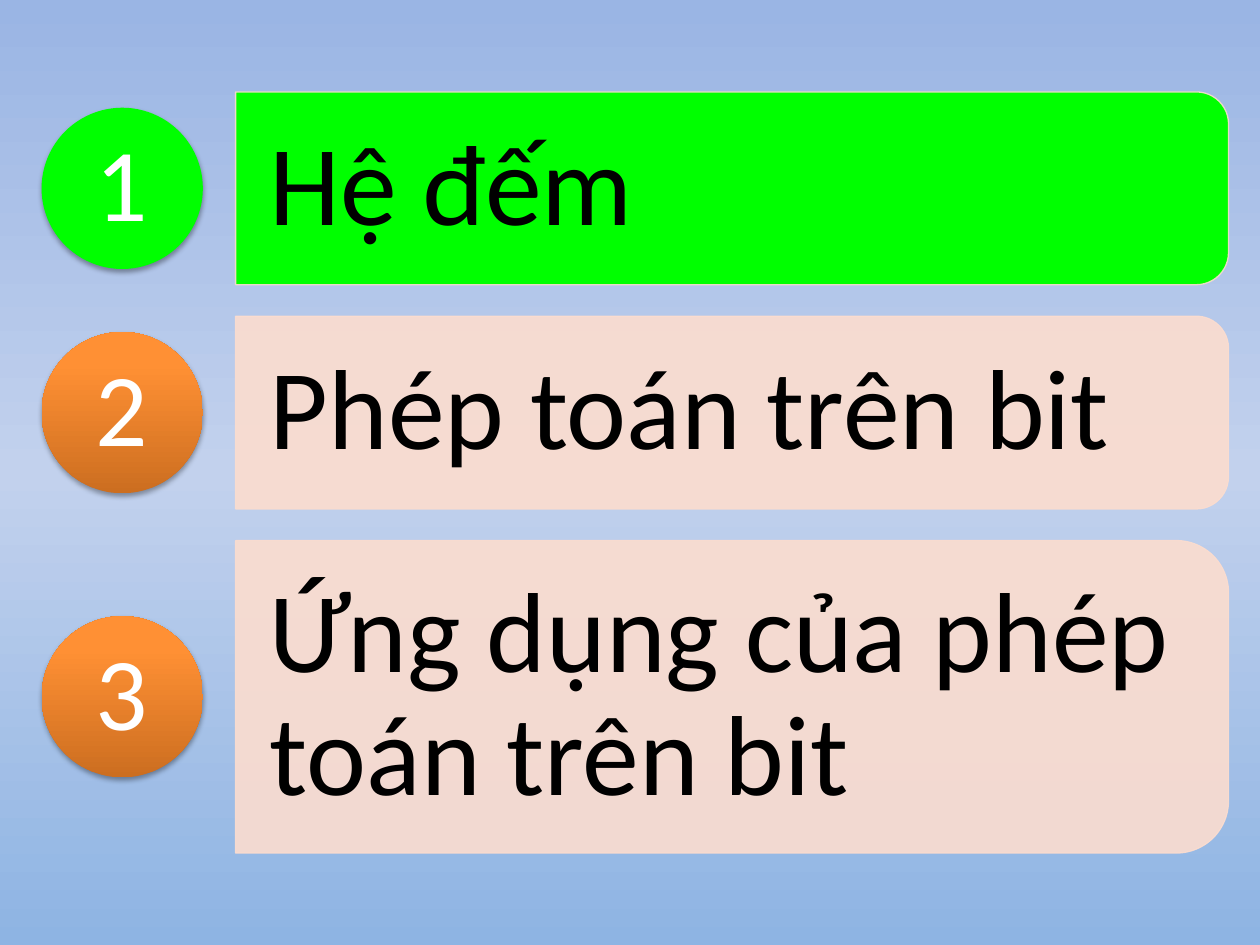
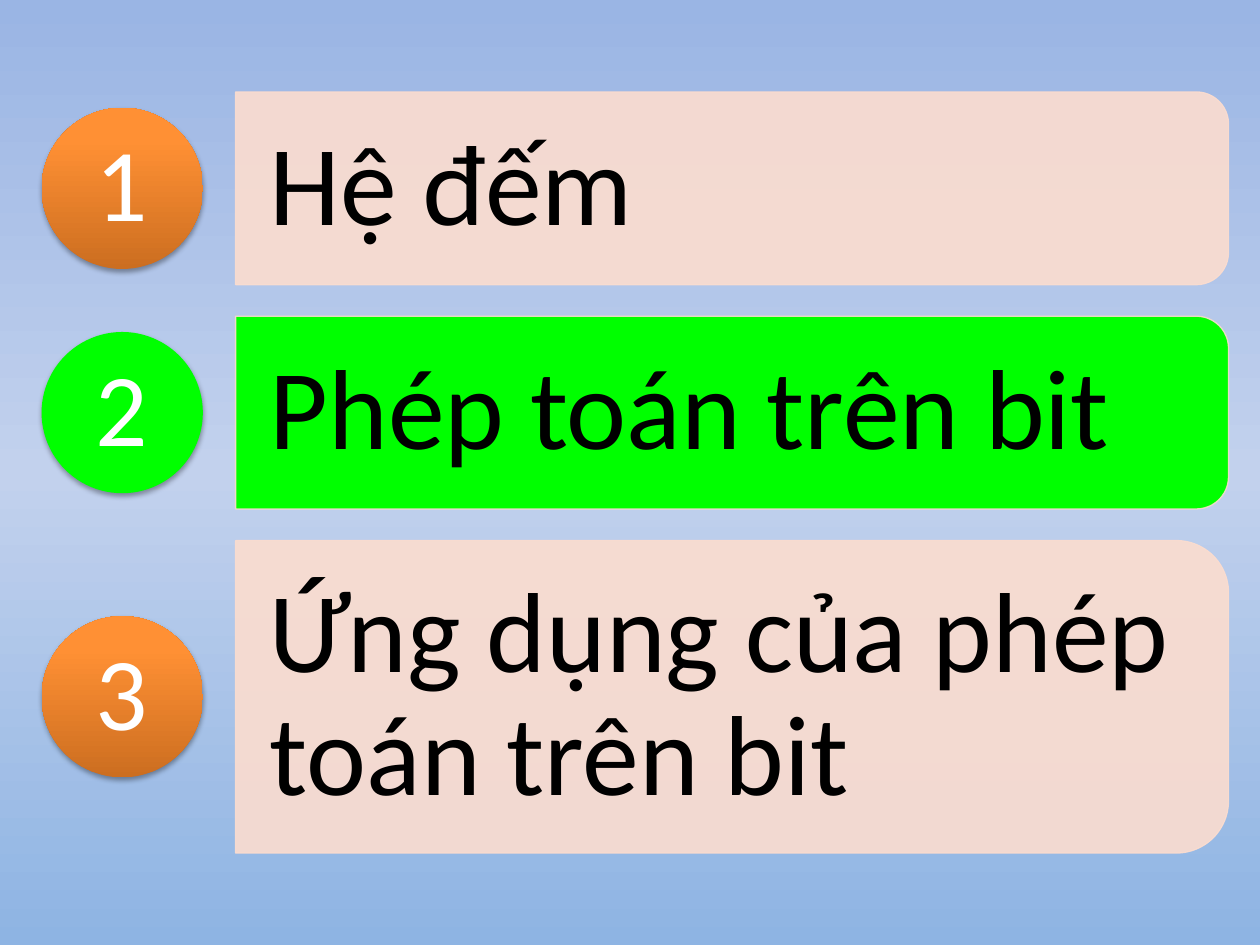
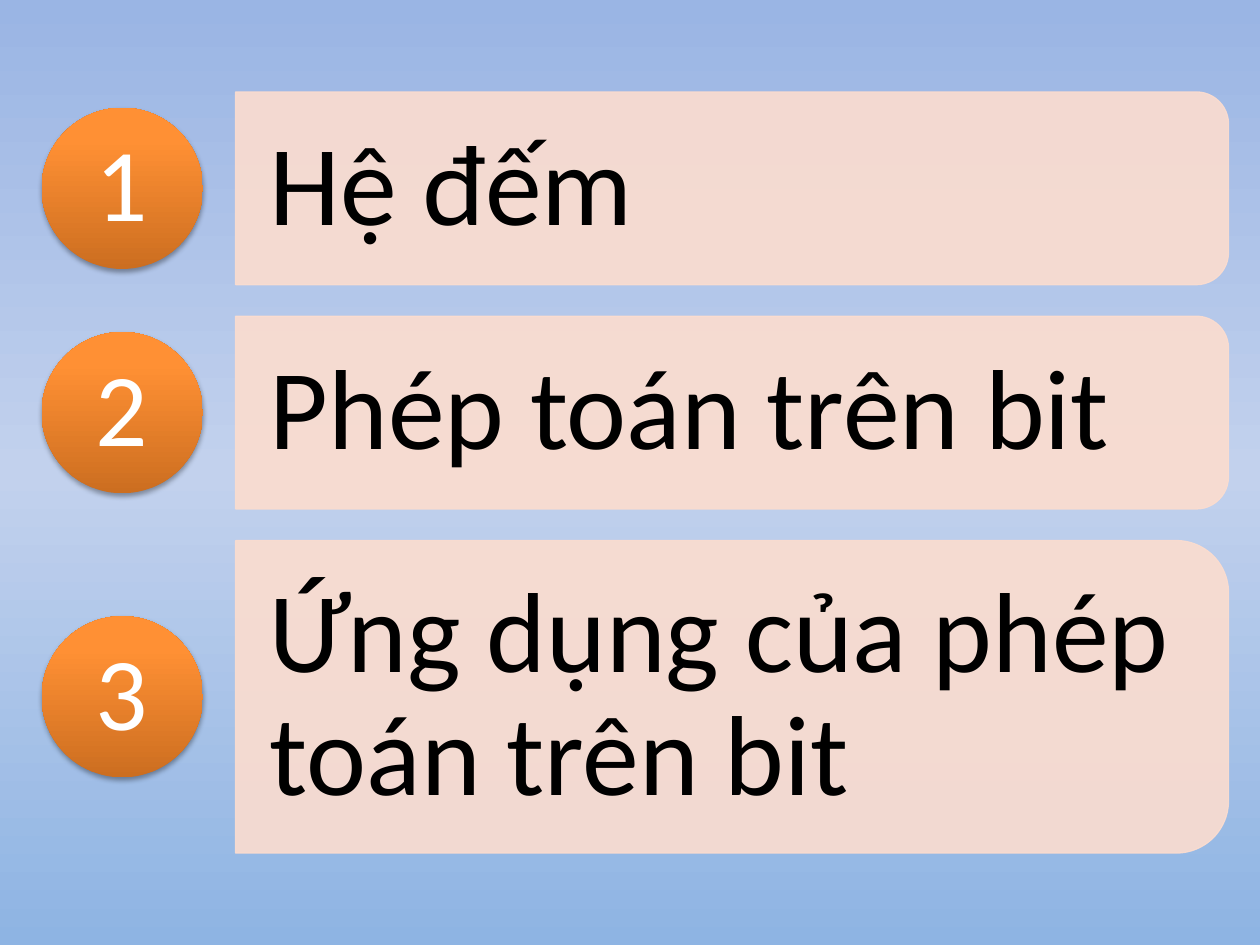
from lxml.etree import SubElement
from pptx import Presentation
from pptx.dml.color import RGBColor
from pptx.enum.shapes import MSO_SHAPE
from pptx.enum.text import MSO_ANCHOR, PP_ALIGN
from pptx.oxml.ns import qn
from pptx.util import Inches, Pt

COLORS = {
    "active": "00FF00", "bar": "FCDDCF", "text": "000000", "number": "FFFFFF",
    "shadow": "000000",
}
BACKGROUND = [(0, "9AB5E4"), (50, "C2D1ED"), (100, "8EB4E3")]
ORANGE = [(0, "CC6E20"), (80, "FF9034"), (100, "FF9136")]
FONT = "Calibri"

# Agenda items with the height of each bar
ITEMS = [
    ("Hệ đếm", 1.53),
    ("Phép toán trên bit", 1.53),
    ("Ứng dụng của phép toán trên bit", 2.48),
]
TOP, GAP = 0.73, 0.25
BAR_LEFT, BAR_WIDTH = 1.87, 7.88
CIRCLE_LEFT, CIRCLE_SIZE = 0.33, 1.28
CORNER_INSET = 0.05  # text inset caused by the round corners, per bar height


def rgb(name):
    return RGBColor.from_string(COLORS[name])


def set_gradient(fill, element, stops, angle):
    """Fill with a linear gradient; the angle runs counter-clockwise."""
    fill.gradient()
    fill.gradient_angle = angle
    gs_list = next(element.iter(qn("a:gsLst")))
    for gs in list(gs_list):
        gs_list.remove(gs)
    for pos, color in stops:
        gs = SubElement(gs_list, qn("a:gs"), pos=str(pos * 1000))
        SubElement(gs, qn("a:srgbClr"), val=color)


def set_alpha(color_parent, percent):
    color = next(color_parent.iter(qn("a:srgbClr")))
    SubElement(color, qn("a:alpha"), val=str(percent * 1000))


def add_shadow(shape):
    shape.shadow.inherit = False
    effects = shape._element.spPr.find(qn("a:effectLst"))
    shadow = SubElement(effects, qn("a:outerShdw"), blurRad=str(Pt(3.1)),
                        dist=str(Pt(1.8)), dir="5400000", rotWithShape="0")
    SubElement(shadow, qn("a:srgbClr"), val=COLORS["shadow"])
    set_alpha(shadow, 35)


def set_text(shape, text, size, color, align, inset_x=0, inset_y=0):
    tf = shape.text_frame
    tf.text = text
    tf.word_wrap = True
    tf.vertical_anchor = MSO_ANCHOR.MIDDLE
    tf.margin_left = tf.margin_right = Inches(inset_x)
    tf.margin_top = tf.margin_bottom = Inches(inset_y)
    p = tf.paragraphs[0]
    p.alignment = align
    p.line_spacing = 0.9
    font = p.runs[0].font
    font.name, font.size = FONT, Pt(size)
    font.color.rgb = rgb(color)


def add_bar(s, text, top, height, active):
    # The bar stands upright and is turned so that its round corners face right
    left = BAR_LEFT + (BAR_WIDTH - height) / 2
    upright_top = top + (height - BAR_WIDTH) / 2
    bar = s.shapes.add_shape(MSO_SHAPE.ROUND_2_SAME_RECTANGLE, Inches(left),
                             Inches(upright_top), Inches(height), Inches(BAR_WIDTH))
    bar.rotation = 90
    bar.shadow.inherit = False
    bar.fill.solid()
    bar.fill.fore_color.rgb = rgb("active" if active else "bar")
    if not active:
        set_alpha(bar._element.spPr.find(qn("a:solidFill")), 90)
    bar.line.width = Pt(0.75)
    bar.line.color.rgb = rgb("bar")
    set_alpha(bar._element.spPr.find(qn("a:ln")), 90)

    # Level text over the turned bar
    inset = CORNER_INSET * height
    box = s.shapes.add_textbox(Inches(BAR_LEFT), Inches(top + inset),
                               Inches(BAR_WIDTH - inset), Inches(height - 2 * inset))
    set_text(box, text, 65, "text", PP_ALIGN.LEFT, 0.27, 0.18)


def add_number(s, number, middle, active):
    circle = s.shapes.add_shape(MSO_SHAPE.OVAL, Inches(CIRCLE_LEFT),
                                Inches(middle - CIRCLE_SIZE / 2),
                                Inches(CIRCLE_SIZE), Inches(CIRCLE_SIZE))
    if active:
        circle.fill.solid()
        circle.fill.fore_color.rgb = rgb("active")
    else:
        set_gradient(circle.fill, circle._element, ORANGE, 90)
    circle.line.fill.background()
    add_shadow(circle)
    set_text(circle, str(number), 59, "number", PP_ALIGN.CENTER)


def add_agenda(prs, current=None):
    s = prs.slides.add_slide(prs.slide_layouts[6])
    top = TOP
    for number, (text, height) in enumerate(ITEMS, start=1):
        active = number == current
        add_bar(s, text, top, height, active)
        add_number(s, number, top + height / 2, active)
        top += height + GAP


def main():
    prs = Presentation()
    prs.slide_width, prs.slide_height = Inches(10), Inches(7.5)

    # Shared background
    master = prs.slide_master
    set_gradient(master.background.fill, master._element, BACKGROUND, 270)

    # One agenda slide per highlighted item, then one with none
    for current in (1, 2, None):
        add_agenda(prs, current)
    prs.save("out.pptx")


if __name__ == "__main__":
    main()
